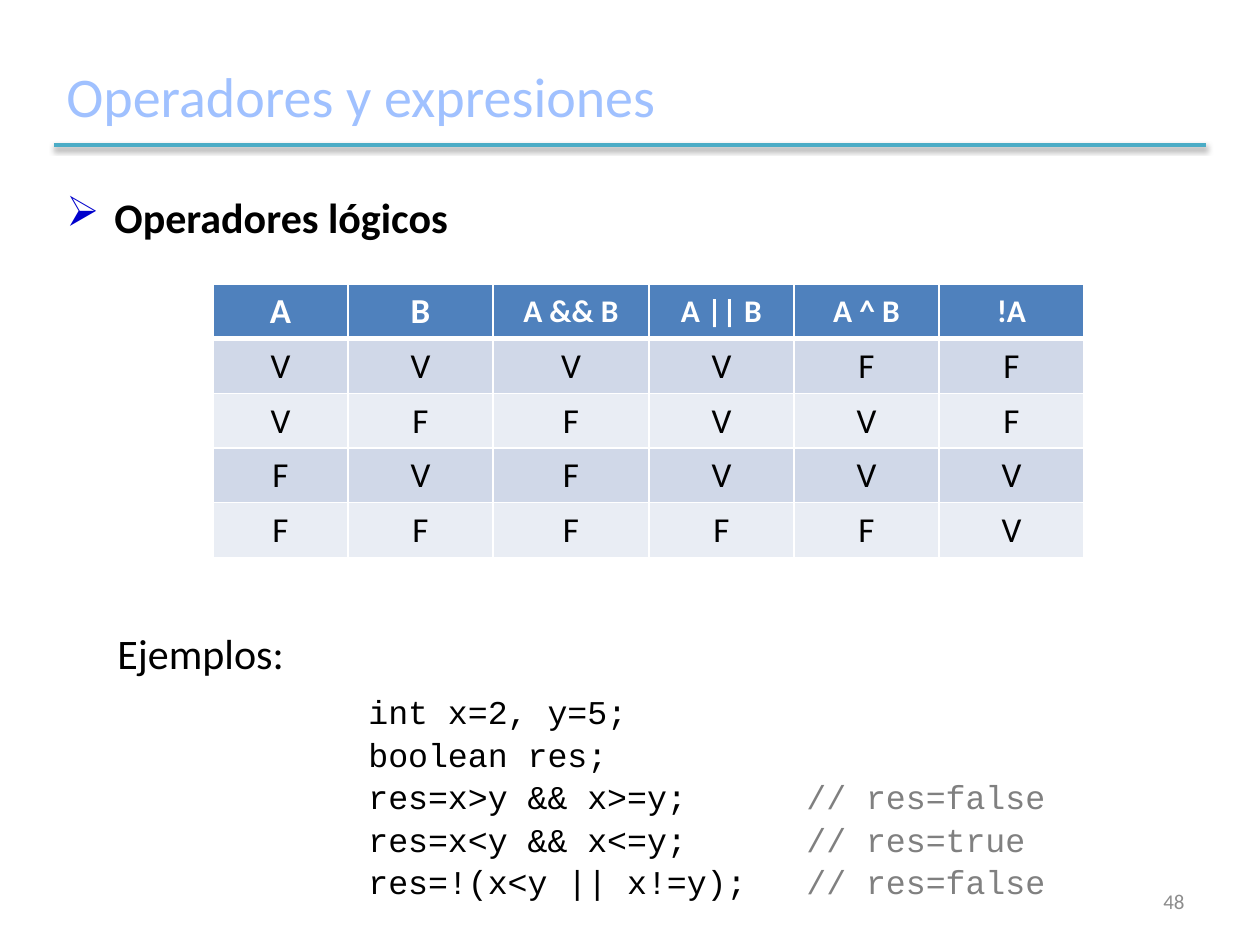
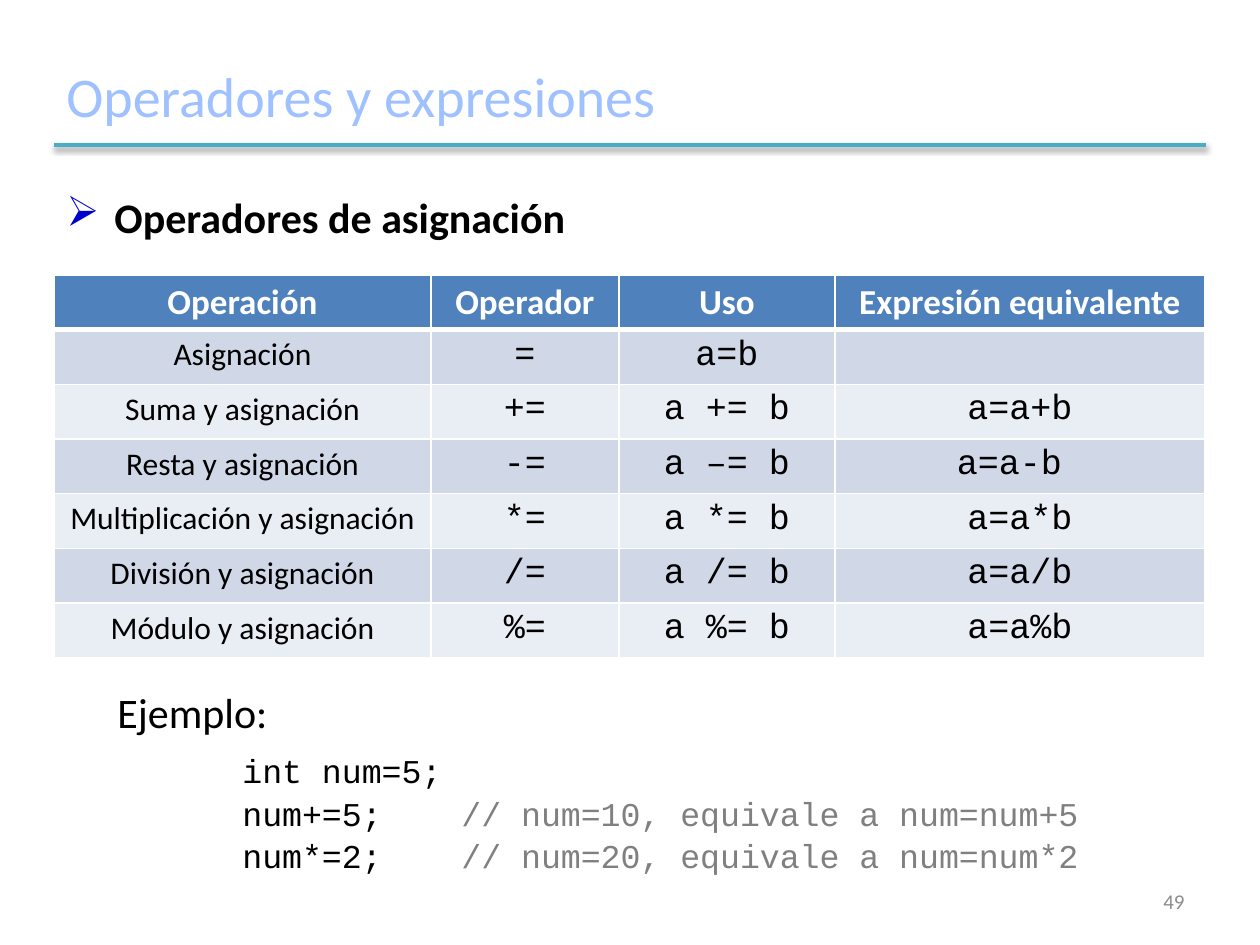
import pptx
import pptx.dml.color
import pptx.enum.shapes
import pptx.enum.text
import pptx.oxml
import pptx.oxml.ns
import pptx.util

EMU_PER_PX = 914400 / 126
SLIDE_SIZE = (1260, 945)
BODY, CODE = "Calibri", "Courier New"
BLACK, WHITE, GREY = "000000", "FFFFFF", "808080"
TITLE_BLUE, RULE_TEAL, BULLET_BLUE = "A0C1FF", "4BACC6", "0000CC"
HEADER_FILL, BAND_FILLS = "4F81BD", ("D0D8E8", "E9EDF4")
PAGE_GREY = "8C8C8C"
ALIGN = pptx.enum.text.PP_ALIGN
MIDDLE = pptx.enum.text.MSO_ANCHOR.MIDDLE
TOP = pptx.enum.text.MSO_ANCHOR.TOP

LOGIC = {
    "topic": "Operadores lógicos",
    "table_at": (213, 284),
    "columns": (135, 145, 156, 145, 145, 145),
    "anchor": MIDDLE,
    "header_sizes": (20, 20, 18, 18, 18, 18),
    "styles": [(BODY, 20)] * 6,
    "rows": [
        ("A", "B", "A && B", "A || B", "A ^ B", "!A"),
        "VVVVFF",
        "VFFVVF",
        "FVFVVV",
        "FFFFFV",
    ],
    "example_box": (55, 621, 1150, 276),
    "example_label": "Ejemplos:",
    "code_stops": (301, 739),
    "code": [
        ("int x=2, y=5;", ""),
        ("boolean res;", ""),
        ("res=x>y && x>=y;", "// res=false"),
        ("res=x<y && x<=y;", "// res=true"),
        ("res=!(x<y || x!=y);", "// res=false"),
    ],
    "page": "48",
}

ASSIGNMENT = {
    "topic": "Operadores de asignación",
    "table_at": (54, 275),
    "columns": (377, 188, 216, 370),
    "anchor": TOP,
    "header_sizes": (20, 20, 20, 20),
    "styles": [(BODY, 18)] + [(CODE, 20)] * 3,
    "rows": [
        ("Operación", "Operador", "Uso", "Expresión equivalente"),
        ("Asignación", "=", "a=b", ""),
        ("Suma y asignación", "+=", "a += b", "a=a+b"),
        ("Resta y asignación", "-=", "a –= b", "a=a-b "),
        ("Multiplicación y asignación", "*=", "a *= b", "a=a*b"),
        ("División y asignación", "/=", "a /= b", "a=a/b"),
        ("Módulo y asignación", "%=", "a %= b", "a=a%b"),
    ],
    "example_box": (55, 680, 1150, 236),
    "example_label": "Ejemplo:",
    "code_stops": (175, 394),
    "code": [
        ("int num=5;", ""),
        ("num+=5;", "// num=10, equivale a num=num+5"),
        ("num*=2;", "// num=20, equivale a num=num*2"),
    ],
    "page": "49",
}


def px(length):
    """Turn px into EMU."""
    return pptx.util.Emu(round(length * EMU_PER_PX))


def color(value):
    """Turn a hex string into a colour."""
    return pptx.dml.color.RGBColor.from_string(value)


def add_xml(parent, markup):
    """Append a piece of DrawingML to an element."""
    namespace = pptx.oxml.ns.nsdecls("a")
    tag_end = min(i for i in (markup.find(" "), markup.find(">")) if i > 0)
    parent.append(pptx.oxml.parse_xml(f"{markup[:tag_end]} {namespace}{markup[tag_end:]}"))


def add_run(paragraph, text, size, ink=BLACK, font=BODY, bold=False):
    """Add one styled run."""
    run = paragraph.add_run()
    run.text = text
    run.font.name = font
    run.font.size = pptx.util.Pt(size)
    run.font.bold = bold
    run.font.color.rgb = color(ink)


def add_text_box(slide, box, anchor=TOP):
    """Add a wrapping text box and return its text frame."""
    frame = slide.shapes.add_textbox(*map(px, box)).text_frame
    frame.word_wrap = True
    frame.vertical_anchor = anchor
    return frame


def add_title(slide, box):
    """Place the title with the shadowed rule along its lower edge."""
    left, top, width, height = box
    frame = add_text_box(slide, box, MIDDLE)
    add_run(frame.paragraphs[0], "Operadores y expresiones", 32, TITLE_BLUE)
    bottom = top + height
    rule = slide.shapes.add_connector(
        pptx.enum.shapes.MSO_CONNECTOR.STRAIGHT,
        px(left), px(bottom), px(left + width), px(bottom))
    rule.line.color.rgb = color(RULE_TEAL)
    rule.line.width = pptx.util.Pt(2)
    add_xml(rule._element.spPr,
            '<a:effectLst><a:outerShdw blurRad="40000" dist="20000" dir="5400000" '
            f'rotWithShape="0"><a:srgbClr val="{BLACK}"><a:alpha val="38000"/>'
            '</a:srgbClr></a:outerShdw></a:effectLst>')


def add_topic(slide, box, text):
    """Place the bulleted topic line."""
    paragraph = add_text_box(slide, box).paragraphs[0]
    properties = paragraph._p.get_or_add_pPr()
    properties.set("marL", str(px(48)))
    properties.set("indent", str(-px(48)))
    add_xml(properties, f'<a:buClr><a:srgbClr val="{BULLET_BLUE}"/></a:buClr>')
    add_xml(properties, '<a:buChar char="➢"/>')
    add_run(paragraph, text, 24, bold=True)


def style_cell(cell, row_index, anchor):
    """Give a cell its white borders, its fill and its anchor."""
    widths = {"L": 1, "R": 1,
              "T": 3 if row_index == 1 else 1,
              "B": 3 if row_index == 0 else 1}
    properties = cell._tc.get_or_add_tcPr()
    for side, width in widths.items():
        add_xml(properties,
                f'<a:ln{side} w="{pptx.util.Pt(width)}"><a:solidFill>'
                f'<a:srgbClr val="{WHITE}"/></a:solidFill></a:ln{side}>')
    cell.fill.solid()
    fill = BAND_FILLS[(row_index - 1) % 2] if row_index else HEADER_FILL
    cell.fill.fore_color.rgb = color(fill)
    cell.vertical_anchor = anchor


def add_operator_table(slide, content, row_height=54):
    """Place the table of operators."""
    rows, columns = content["rows"], content["columns"]
    left, top = content["table_at"]
    table = slide.shapes.add_table(
        len(rows), len(columns), px(left), px(top),
        px(sum(columns)), px(row_height * len(rows))).table
    for column, width in zip(table.columns, columns):
        column.width = px(width)
    for row_index, texts in enumerate(rows):
        table.rows[row_index].height = px(row_height)
        for column_index, text in enumerate(texts):
            cell = table.cell(row_index, column_index)
            style_cell(cell, row_index, content["anchor"])
            paragraph = cell.text_frame.paragraphs[0]
            paragraph.alignment = ALIGN.CENTER
            if row_index == 0:
                add_run(paragraph, text, content["header_sizes"][column_index],
                        WHITE, bold=True)
            elif text:
                font, size = content["styles"][column_index]
                add_run(paragraph, text, size, font=font)


def add_example(slide, box, label, code, stops):
    """Place the example label and its code, with comments on a tab stop."""
    frame = add_text_box(slide, box)
    heading = frame.paragraphs[0]
    heading._p.get_or_add_pPr().set("marL", str(px(50)))
    add_run(heading, label, 24)
    tabs = "".join(f'<a:tab pos="{px(stop)}" algn="l"/>' for stop in stops)
    for index, (statement, comment) in enumerate(code):
        paragraph = frame.add_paragraph()
        add_xml(paragraph._p.get_or_add_pPr(), f"<a:tabLst>{tabs}</a:tabLst>")
        paragraph.space_before = pptx.util.Pt(1.5 if index else 8)
        add_run(paragraph, "\t" + statement, 19, font=CODE)
        if comment:
            add_run(paragraph, "\t" + comment, 19, GREY, CODE)


def add_page_number(slide, box, number):
    """Place the page number at the lower right."""
    paragraph = add_text_box(slide, box, MIDDLE).paragraphs[0]
    paragraph.alignment = ALIGN.RIGHT
    add_run(paragraph, number, 12, PAGE_GREY)


def add_operator_slide(presentation, content):
    """Build one slide about a group of operators."""
    slide = presentation.slides.add_slide(presentation.slide_layouts[6])
    add_title(slide, (54, 45, 1152, 100))
    add_topic(slide, (54, 185, 1150, 63), content["topic"])
    add_operator_table(slide, content)
    add_example(slide, content["example_box"], content["example_label"],
                content["code"], content["code_stops"])
    add_page_number(slide, (903, 876, 294, 50), content["page"])


def main():
    """Build and save the presentation."""
    presentation = pptx.Presentation()
    presentation.slide_width, presentation.slide_height = map(px, SLIDE_SIZE)
    for content in (LOGIC, ASSIGNMENT):
        add_operator_slide(presentation, content)
    presentation.save("out.pptx")


if __name__ == "__main__":
    main()
